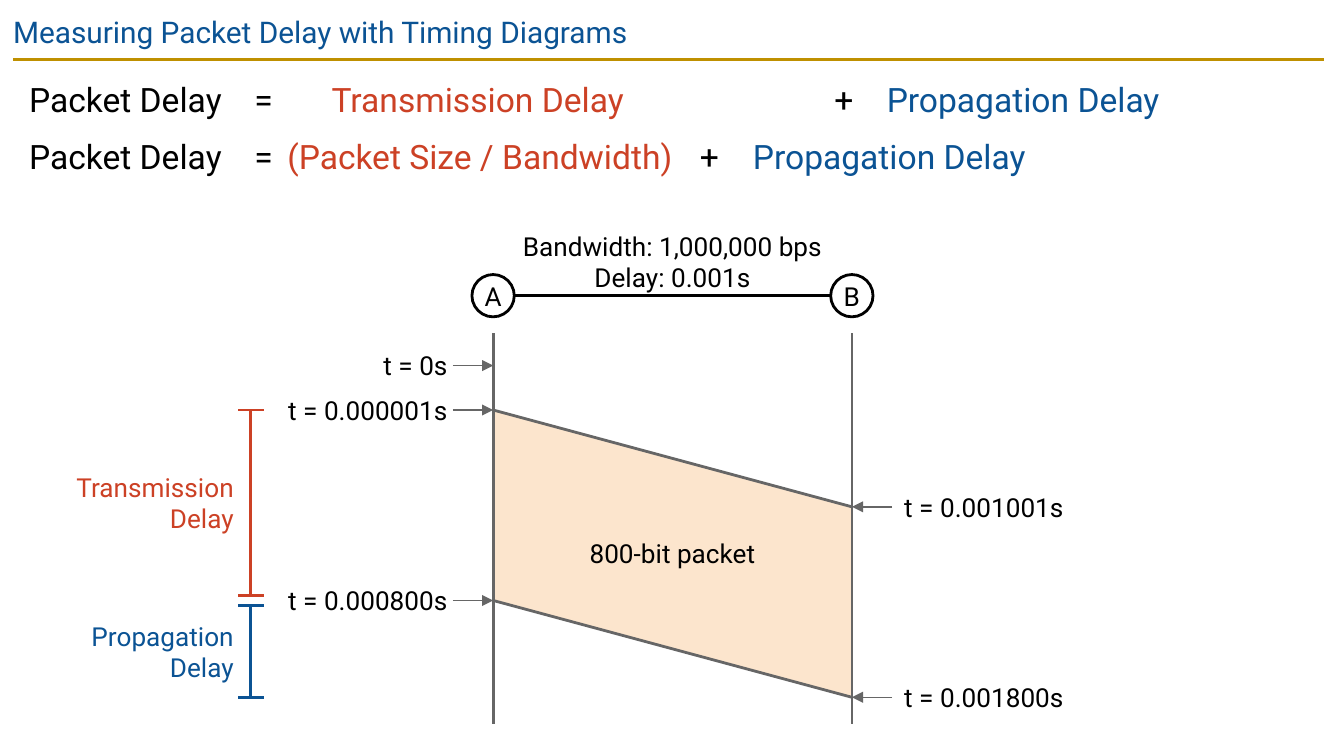
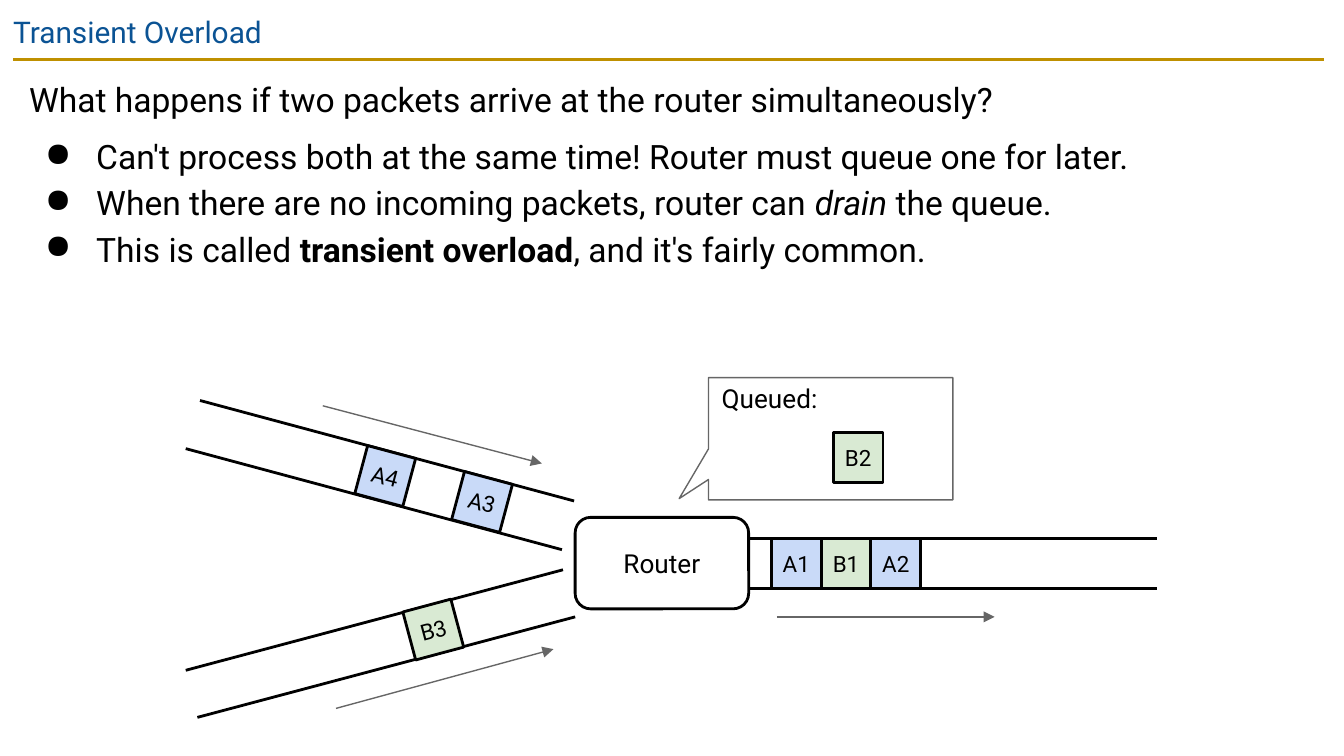
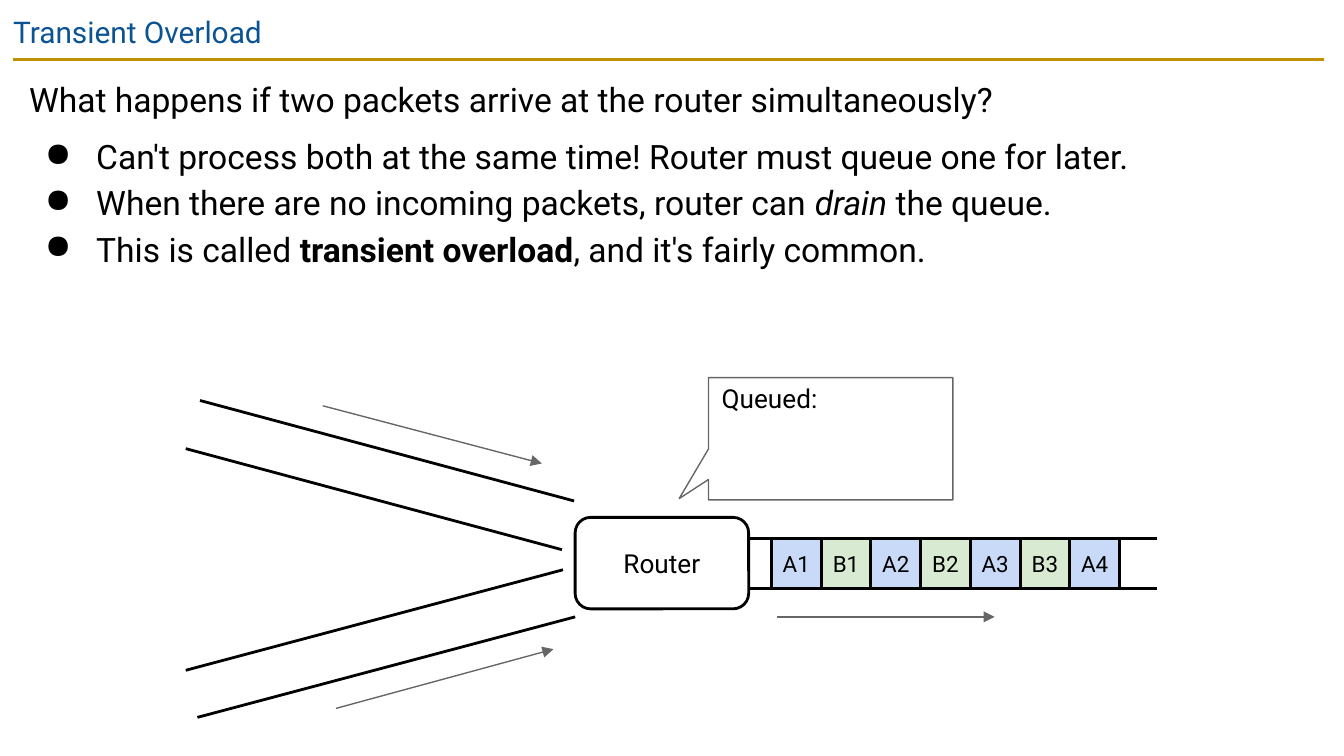
"""Build three slides on packet delay and transient overload."""
from lxml import etree
from pptx import Presentation
from pptx import util as u
from pptx.dml.color import RGBColor
from pptx.enum import shapes, text
from pptx.oxml import ns

Cm, Pt = u.Cm, u.Pt
FONT = "Roboto"
BLACK = RGBColor(0x00, 0x00, 0x00)
WHITE = RGBColor(0xFF, 0xFF, 0xFF)
GRAY = RGBColor(0x66, 0x66, 0x66)
GOLD = RGBColor(0xBF, 0x90, 0x00)
BLUE = RGBColor(0x0B, 0x53, 0x94)
RED = RGBColor(0xCC, 0x41, 0x25)
PEACH = RGBColor(0xFC, 0xE5, 0xCD)
PACKET_FILLS = {"A": RGBColor(0xC9, 0xDA, 0xF8), "B": RGBColor(0xD9, 0xEA, 0xD3)}
LEFT, CENTER, RIGHT = text.PP_ALIGN.LEFT, text.PP_ALIGN.CENTER, text.PP_ALIGN.RIGHT
PACKET_SIDE = 0.94

FORMULAS = [
    ([4.26, 5.72, 15.22, 16.21],
     [("Packet Delay\t=\t", BLACK), ("Transmission Delay", RED),
      ("\t+\t", BLACK), ("Propagation Delay", BLUE)]),
    ([4.26, 4.88, 12.68, 13.68],
     [("Packet Delay\t=\t", BLACK), ("(Packet Size / Bandwidth)", RED),
      ("\t+\t", BLACK), ("Propagation Delay", BLUE)]),
]
QUESTION = "What happens if two packets arrive at the router simultaneously?"
ANSWERS = [
    [("Can't process both at the same time! Router must queue one for later.", "")],
    [("When there are no incoming packets, router can ", ""), ("drain", "italic"),
     (" the queue.", "")],
    [("This is called ", ""), ("transient overload", "bold"),
     (", and it's fairly common.", "")],
]


def style_run(run, size, color=BLACK):
    """Give a run the deck font."""
    run.font.name, run.font.size = FONT, Pt(size)
    run.font.color.rgb = color


def fill_text(frame, words, size, color=BLACK, align=LEFT, inset=(0, 0)):
    """Write plain text into a frame with one style and (x, y) insets."""
    frame.word_wrap = True
    frame.margin_left = frame.margin_right = Cm(inset[0])
    frame.margin_top = frame.margin_bottom = Cm(inset[1])
    frame.text = words
    for paragraph in frame.paragraphs:
        paragraph.alignment = align
        for run in paragraph.runs:
            style_run(run, size, color)


def add_label(slide, words, x, y, width, height, size=14, color=BLACK,
              align=LEFT, inset=0.0):
    """Add a text box."""
    box = slide.shapes.add_textbox(Cm(x), Cm(y), Cm(width), Cm(height))
    fill_text(box.text_frame, words, size, color, align, (inset, inset))


def add_line(slide, x1, y1, x2, y2, color=BLACK, width=1.5, arrow=False):
    """Add a straight line, with an arrowhead at its end if asked."""
    line = slide.shapes.add_connector(
        shapes.MSO_CONNECTOR.STRAIGHT, Cm(x1), Cm(y1), Cm(x2), Cm(y2))
    line.line.color.rgb = color
    line.line.width = Pt(width)
    properties = line.element.spPr
    if arrow:
        etree.SubElement(properties.find(ns.qn("a:ln")), ns.qn("a:tailEnd"),
                         type="triangle")
    etree.SubElement(properties, ns.qn("a:effectLst"))


def add_arrow(slide, x1, y1, x2, y2):
    """Add a thin gray arrow."""
    add_line(slide, x1, y1, x2, y2, GRAY, 0.75, arrow=True)


def add_figure(slide, kind, x, y, width, height, words, size=14, fill=WHITE):
    """Add an outlined preset shape with centred text."""
    figure = slide.shapes.add_shape(kind, Cm(x), Cm(y), Cm(width), Cm(height))
    figure.shadow.inherit = False
    figure.fill.solid()
    figure.fill.fore_color.rgb = fill
    figure.line.color.rgb = BLACK
    figure.line.width = Pt(1.5)
    fill_text(figure.text_frame, words, size, align=CENTER)
    figure.text_frame.vertical_anchor = text.MSO_ANCHOR.MIDDLE
    return figure


def add_packet(slide, name, x, y, angle=0):
    """Add a packet square coloured by its sender."""
    packet = add_figure(slide, shapes.MSO_SHAPE.RECTANGLE, x, y, PACKET_SIDE,
                        PACKET_SIDE, name, 12, PACKET_FILLS[name[0]])
    packet.rotation = angle


def new_slide(deck, title):
    """Add a slide with the shared title and gold rule."""
    slide = deck.slides.add_slide(deck.slide_layouts[6])
    add_line(slide, 0.25, 1.12, 25.02, 1.12, GOLD)
    add_label(slide, title, 0, 0, 25.4, 1.09, 16, BLUE, inset=0.25)
    return slide


def add_body(slide, height):
    """Add the body box and return its text frame."""
    frame = slide.shapes.add_textbox(Cm(0.3), Cm(1.12), Cm(24.74), Cm(height)).text_frame
    frame.word_wrap = True
    frame.margin_left = frame.margin_right = Cm(0.25)
    frame.margin_top = frame.margin_bottom = Cm(0.25)
    return frame


def body_paragraph(frame, index, space_before=0):
    """Return the body paragraph at an index, adding it after the first."""
    paragraph = frame.add_paragraph() if index else frame.paragraphs[0]
    paragraph.line_spacing = 1.15
    paragraph.space_before = Pt(space_before)
    return paragraph


def add_formulas(slide):
    """Write the two delay formulas, aligned by tab stops."""
    frame = add_body(slide, 2.82)
    for index, (stops, parts) in enumerate(FORMULAS):
        paragraph = body_paragraph(frame, index, 6 * index)
        tabs = etree.SubElement(paragraph._p.get_or_add_pPr(), ns.qn("a:tabLst"))
        for stop in stops:
            etree.SubElement(tabs, ns.qn("a:tab"), pos=str(Cm(stop)), algn="l")
        for words, color in parts:
            run = paragraph.add_run()
            run.text = words
            style_run(run, 18, color)


def add_question(slide):
    """Write the question and its bulleted answers."""
    frame = add_body(slide, 4.75)
    question = body_paragraph(frame, 0)
    question.text = QUESTION
    style_run(question.runs[0], 18)
    for index, parts in enumerate(ANSWERS, 1):
        answer = body_paragraph(frame, index, 6 if index == 1 else 0)
        properties = answer._p.get_or_add_pPr()
        properties.set("marL", str(Cm(1.27)))
        properties.set("indent", str(Cm(-0.97)))
        bullet_color = etree.SubElement(properties, ns.qn("a:buClr"))
        etree.SubElement(bullet_color, ns.qn("a:srgbClr"), val=str(BLACK))
        etree.SubElement(properties, ns.qn("a:buChar"), char="●")
        for words, emphasis in parts:
            run = answer.add_run()
            run.text = words
            style_run(run, 18)
            run.font.italic = emphasis == "italic"
            run.font.bold = emphasis == "bold"


def add_span(slide, left, top, bottom, words, color):
    """Mark a time span with a labelled bracket."""
    label_height, bar, cap = 1.35, left + 3.47, 0.24
    for y in (top, bottom):
        add_line(slide, bar - cap, y, bar + cap, y, color)
    add_line(slide, bar, bottom, bar, top, color)
    add_label(slide, words, left, (top + bottom - label_height) / 2, 3.23,
              label_height, color=color, align=RIGHT, inset=0.08)


def add_timing_diagram(slide, left, top):
    """Draw an 800-bit packet travelling from A to B over time."""
    x_a, x_b = left + 8.05, left + 14.83
    middle, distance = (x_a + x_b) / 2, x_b - x_a
    link, radius = top + 1.32, 0.4
    first_sent, last_sent, travel = top + 3.48, top + 7.08, 1.83
    first_seen, last_seen = first_sent + travel, last_sent + travel

    outline = slide.shapes.build_freeform(Cm(x_a), Cm(first_sent))
    outline.add_line_segments([(Cm(x_b), Cm(first_seen)), (Cm(x_b), Cm(last_seen)),
                               (Cm(x_a), Cm(last_sent))])
    packet = outline.convert_to_shape()
    packet.shadow.inherit = False
    packet.fill.solid()
    packet.fill.fore_color.rgb = PEACH
    packet.line.fill.background()

    for node, x in (("B", x_b), ("A", x_a)):
        add_line(slide, x, top + 2.03, x, top + 9.42, GRAY)
        add_figure(slide, shapes.MSO_SHAPE.OVAL, x - radius, link - radius,
                   2 * radius, 2 * radius, node)
    add_line(slide, x_a + radius, link, x_b - radius, link)
    add_label(slide, "Bandwidth: 1,000,000 bps\nDelay: 0.001s", x_a, top, distance,
              1.35, align=CENTER, inset=0.08)

    for sent in (first_sent, last_sent):
        add_line(slide, x_a, sent, x_b, sent + travel, GRAY)
    for words, y, width in (("t = 0s", top + 2.64, 1.55),
                            ("t = 0.000001s", first_sent, 3.35),
                            ("t = 0.000800s", last_sent, 3.35)):
        add_arrow(slide, x_a - 0.76, y, x_a, y)
        add_label(slide, words, x_a - 0.86 - width, y - 0.3, width, 0.6, align=RIGHT)
    for words, y in (("t = 0.001001s", first_seen), ("t = 0.001800s", last_seen)):
        add_arrow(slide, x_b + 0.76, y, x_b, y)
        add_label(slide, words, x_b + 0.99, y - 0.3, 3.23, 0.6)
    add_label(slide, "800-bit packet", middle - 2.25, (first_sent + last_seen) / 2 - 0.38,
              4.5, 0.76, align=CENTER, inset=0.08)

    add_span(slide, left, first_sent, last_sent - 0.1, "Transmission Delay", RED)
    add_span(slide, left, last_sent + 0.1, last_seen, "Propagation Delay", BLUE)


def add_queue(slide, x, y):
    """Draw the callout that holds queued packets."""
    queue = add_figure(slide, shapes.MSO_SHAPE.ROUNDED_RECTANGULAR_CALLOUT,
                       x, y, 4.62, 2.31, "")
    for index, value in enumerate((-0.62, 0.49, 0)):
        queue.adjustments[index] = value
    queue.line.color.rgb = GRAY
    queue.line.width = Pt(0.75)
    queue.text_frame.vertical_anchor = text.MSO_ANCHOR.TOP
    fill_text(queue.text_frame, "Queued:", 14, inset=(0.25, 0.08))


def add_router_diagram(slide, left, top, sent, incoming=(), queued=()):
    """Draw two inbound links, a router with its queue and the outbound link."""
    router_right, out_top = left + 11.43, top + 3.3
    router = add_figure(slide, shapes.MSO_SHAPE.ROUNDED_RECTANGLE, left + 8.15,
                        top + 2.9, 3.28, 1.73, "Router")
    router.adjustments[0] = 0.17
    for y in (out_top, out_top + PACKET_SIDE):
        add_line(slide, router_right, y, left + 19.15, y)
    for x1, y1, x2, y2 in ((0.79, 1.6, 7.9, 3.51), (0.79, 5.79, 7.92, 3.89),
                           (1.06, 0.69, 8.13, 2.59), (1.01, 6.68, 8.15, 4.78)):
        add_line(slide, left + x1, top + y1, left + x2, top + y2)
    for x1, y1, x2, y2 in ((11.96, 4.78, 16.08, 4.78), (3.38, 0.79, 7.52, 1.88),
                           (3.63, 6.51, 7.74, 5.39)):
        add_arrow(slide, left + x1, top + y1, left + x2, top + y2)
    for name, x, y, angle in incoming:
        add_packet(slide, name, left + x, top + y, angle)
    add_queue(slide, left + 10.67, top + 0.26)
    for name in queued:
        add_packet(slide, name, left + 13.03, top + 1.3)
    for index, name in enumerate(sent):
        add_packet(slide, name, router_right + 0.43 + index * PACKET_SIDE, out_top)


def add_overload_slide(deck, **packets):
    """Add a transient overload slide with the packets at one moment."""
    slide = new_slide(deck, "Transient Overload")
    add_question(slide)
    add_router_diagram(slide, 2.72, 6.88, **packets)


def main():
    """Build and save the deck."""
    deck = Presentation()
    deck.slide_width, deck.slide_height = Cm(25.4), Cm(14.29)
    timing = new_slide(deck, "Measuring Packet Delay with Timing Diagrams")
    add_formulas(timing)
    add_timing_diagram(timing, 1.27, 4.27)
    add_overload_slide(
        deck, sent=["A1", "B1", "A2"], queued=["B2"],
        incoming=[("A3", 5.92, 2.14, 15), ("A4", 4.09, 1.65, 15), ("B3", 5, 4.55, 345)])
    add_overload_slide(deck, sent=["A1", "B1", "A2", "B2", "A3", "B3", "A4"])
    deck.save("out.pptx")


if __name__ == "__main__":
    main()
